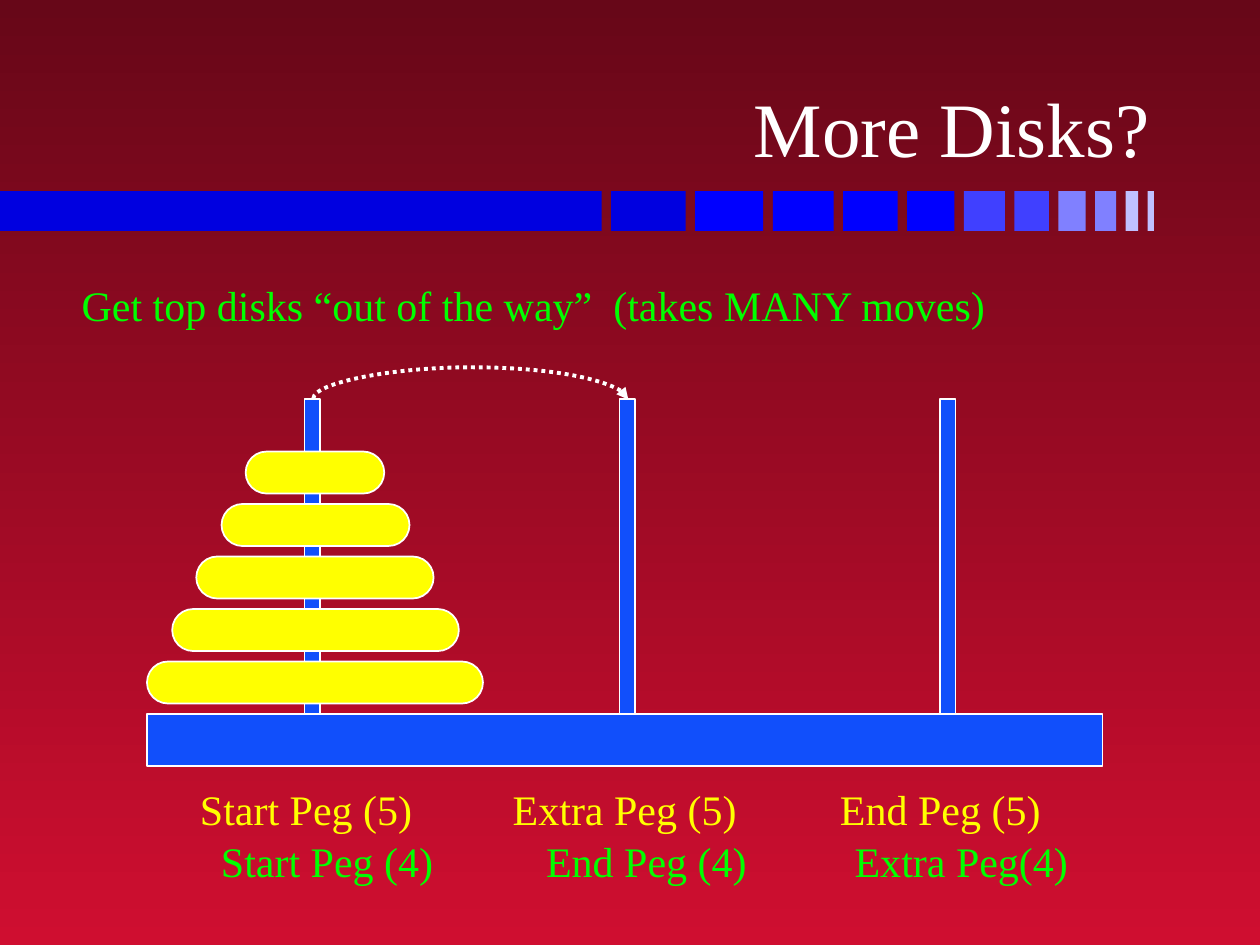
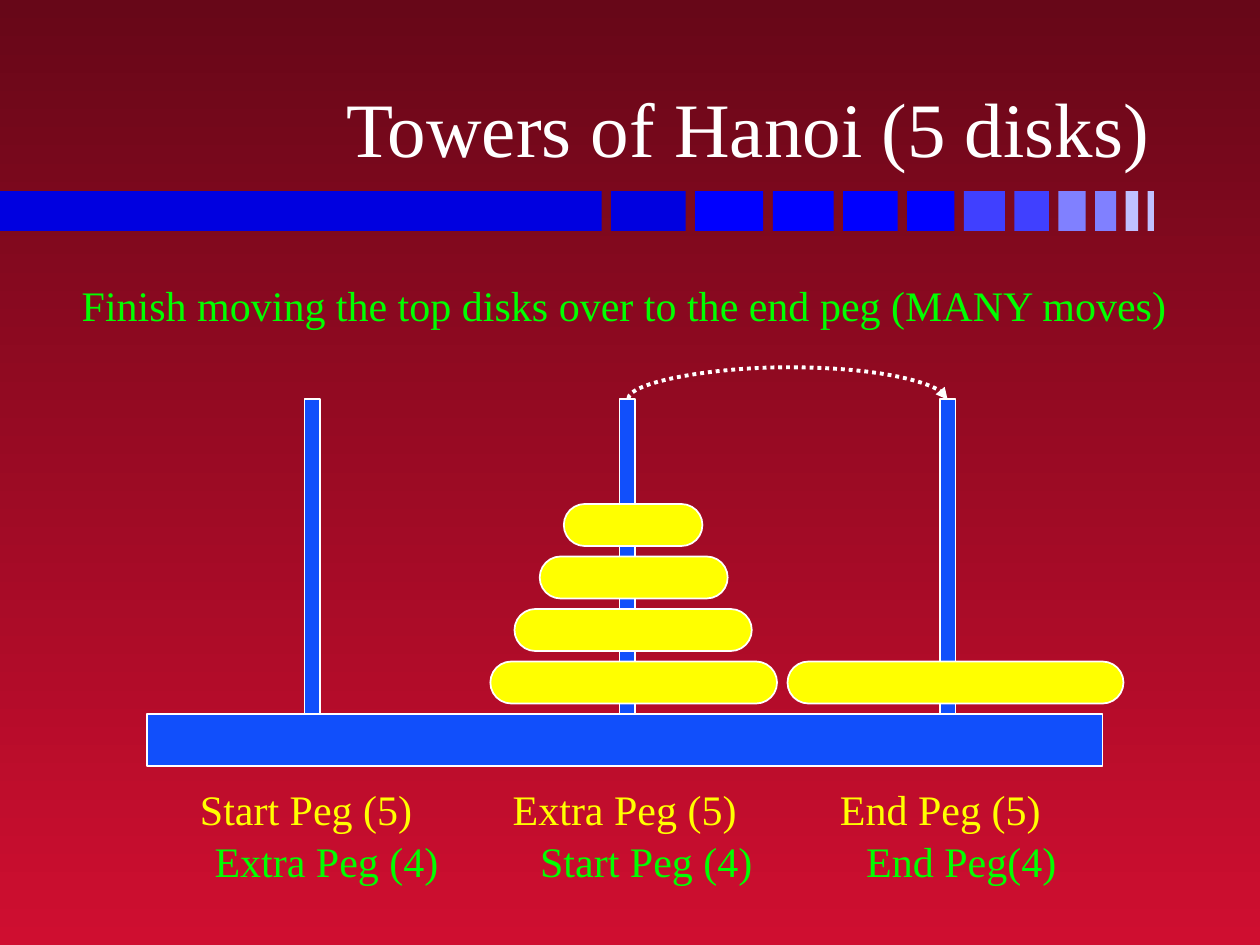
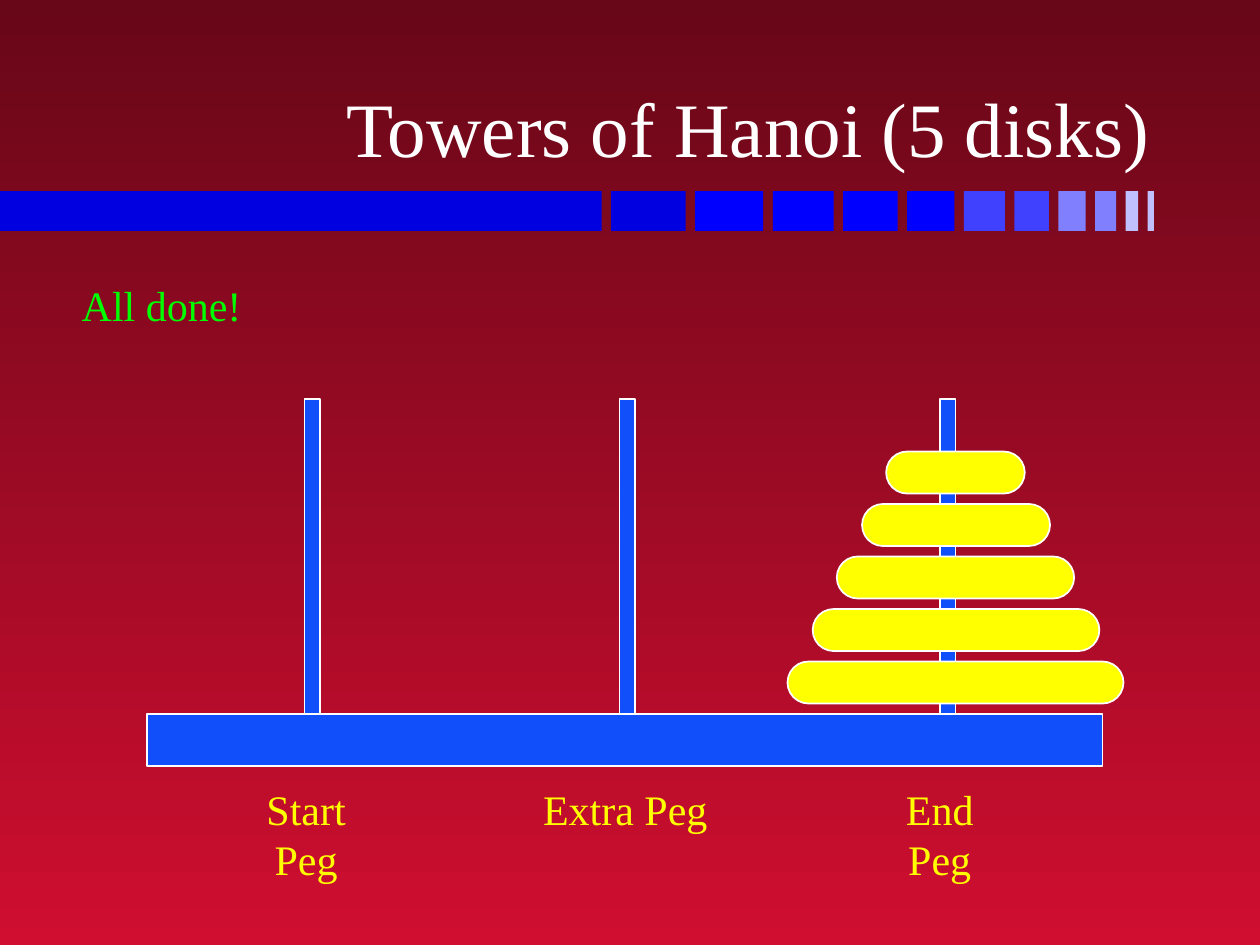
from dataclasses import dataclass
from typing import NamedTuple

from lxml import etree
from pptx import Presentation
from pptx import util as u
from pptx.dml.color import RGBColor
from pptx.enum import dml, shapes, text
from pptx.oxml.ns import qn

PX_PER_INCH = 120


@dataclass(frozen=True)
class Theme:
    font: str = "Times New Roman"
    title_size: int = 44
    body_size: int = 24
    backdrop_top: str = "670718"
    backdrop_bottom: str = "CF0E30"
    white: str = "FFFFFF"
    wood: str = "114FFB"
    disk: str = "FFFF00"
    outer_puzzle: str = "FFFF00"
    inner_puzzle: str = "00FF00"
    outline: float = 1
    arrow: float = 2.25


class BandBlock(NamedTuple):
    width: int
    color: str


class Peg(NamedTuple):
    pole: int
    stack: int
    label: int


class Label(NamedTuple):
    words: str
    width: int


class Scene(NamedTuple):
    title: str
    caption: Label
    stacks: dict[str, list[int]]
    outer_labels: list[Label]
    inner_labels: list[Label]
    move: tuple[str, str] | None


THEME = Theme()
BAND_TOP, BAND_HEIGHT, BAND_GAP = 182, 38, 9
BAND = [
    BandBlock(573, "0000E0"), BandBlock(71, "0000E0"),
    BandBlock(65, "0000FF"), BandBlock(58, "0000FF"),
    BandBlock(52, "0000FF"), BandBlock(45, "0000FF"),
    BandBlock(39, "4040FF"), BandBlock(33, "4040FF"),
    BandBlock(26, "8080FF"), BandBlock(20, "8080FF"),
    BandBlock(12, "C0C0FF"), BandBlock(6, "C0C0FF"),
]
PEGS = {
    "start": Peg(298, 300, 291),
    "extra": Peg(598, 603, 595),
    "end": Peg(903, 910, 895),
}
POLE_TOP, POLE_WIDTH, BASE_TOP = 380, 15, 680
DISK_HEIGHT, DISK_PITCH = 40, 50
SMALLEST_DISK, DISK_GROWTH = 132, 47
ARC_RISE = 30
OUTER_TOP, INNER_TOP, INNER_SHIFT = 740, 790, 20

FIVE_DISK_LABELS = [
    Label("Start Peg (5)", 227), Label("Extra Peg (5)", 238), Label("End Peg (5)", 215),
]
SCENES = [
    Scene(
        "More Disks?",
        Label("Get top disks “out of the way”  (takes MANY moves)", 893),
        {"start": [5, 4, 3, 2, 1]},
        FIVE_DISK_LABELS,
        [Label("Start Peg (4)", 227), Label("End Peg (4)", 215), Label("Extra Peg(4)", 227)],
        ("start", "extra"),
    ),
    Scene(
        "Towers of Hanoi (5 disks)",
        Label("Finish moving the top disks over to the end peg (MANY moves)", 1067),
        {"end": [5], "extra": [4, 3, 2, 1]},
        FIVE_DISK_LABELS,
        [Label("Extra Peg (4)", 238), Label("Start Peg (4)", 227), Label("End Peg(4)", 205)],
        ("extra", "end"),
    ),
    Scene(
        "Towers of Hanoi (5 disks)",
        Label("All done!", 176),
        {"end": [5, 4, 3, 2, 1]},
        [Label("Start Peg", 169), Label("Extra Peg", 181), Label("End Peg", 158)],
        [],
        None,
    ),
]


def px(length: int) -> u.Emu:
    return u.Emu(length * u.Inches(1) // PX_PER_INCH)


def rgb(color: str) -> RGBColor:
    return RGBColor.from_string(color)


def write(slide, words: str, left: int, top: int, width: int, height: int, *,
          color: str, size: int = THEME.body_size, align=text.PP_ALIGN.LEFT,
          anchor=text.MSO_ANCHOR.TOP, wrap: bool = False) -> None:
    frame = slide.shapes.add_textbox(px(left), px(top), px(width), px(height)).text_frame
    frame.word_wrap = wrap
    frame.auto_size = text.MSO_AUTO_SIZE.NONE if wrap else text.MSO_AUTO_SIZE.SHAPE_TO_FIT_TEXT
    frame.vertical_anchor = anchor
    paragraph = frame.paragraphs[0]
    paragraph.alignment = align
    run = paragraph.add_run()
    run.text = words
    run.font.name = THEME.font
    run.font.size = u.Pt(size)
    run.font.color.rgb = rgb(color)


def draw_block(slide, left: int, top: int, width: int, height: int, color: str, *,
               outlined: bool = True, rounded: bool = False) -> None:
    kind = shapes.MSO_SHAPE.ROUNDED_RECTANGLE if rounded else shapes.MSO_SHAPE.RECTANGLE
    block = slide.shapes.add_shape(kind, px(left), px(top), px(width), px(height))
    block.shadow.inherit = False
    block.fill.solid()
    block.fill.fore_color.rgb = rgb(color)
    if rounded:
        block.adjustments[0] = 0.5
    if outlined:
        block.line.color.rgb = rgb(THEME.white)
        block.line.width = u.Pt(THEME.outline)
    else:
        block.line.fill.background()


def draw_band(slide) -> None:
    left = 0
    for block in BAND:
        draw_block(slide, left, BAND_TOP, block.width, BAND_HEIGHT, block.color, outlined=False)
        left += block.width + BAND_GAP


def draw_board(slide) -> None:
    draw_block(slide, 140, BASE_TOP, 910, 50, THEME.wood)
    for peg in PEGS.values():
        draw_block(slide, peg.pole - 8, POLE_TOP, POLE_WIDTH, BASE_TOP - POLE_TOP, THEME.wood)


def draw_stack(slide, peg: Peg, disks: list[int]) -> None:
    for level, disk in enumerate(disks, start=1):
        width = SMALLEST_DISK + DISK_GROWTH * (disk - 1)
        draw_block(slide, peg.stack - width // 2, BASE_TOP - DISK_PITCH * level,
                   width, DISK_HEIGHT, THEME.disk, rounded=True)


def draw_labels(slide, labels: list[Label], top: int, shift: int, color: str) -> None:
    for peg, label in zip(PEGS.values(), labels):
        write(slide, label.words, peg.label + shift - label.width // 2, top, label.width, 60,
              color=color, align=text.PP_ALIGN.CENTER)


def draw_move(slide, source: Peg, target: Peg) -> None:
    middle = (source.pole + target.pole) // 2
    half = (target.pole - source.pole) // 2
    arc = slide.shapes.add_connector(
        shapes.MSO_CONNECTOR.CURVE,
        px(middle), px(POLE_TOP + half), px(middle + 1), px(POLE_TOP - half))
    arc.line.color.rgb = rgb(THEME.white)
    arc.line.width = u.Pt(THEME.arrow)
    arc.line.dash_style = dml.MSO_LINE.ROUND_DOT
    properties = arc.element.spPr
    properties.find(qn("a:xfrm")).set("rot", "5400000")
    adjustments = properties.find(qn("a:prstGeom")).find(qn("a:avLst"))
    etree.SubElement(adjustments, qn("a:gd"), name="adj1", fmla=f"val {-ARC_RISE * 100000}")
    etree.SubElement(properties.find(qn("a:ln")), qn("a:tailEnd"), type="triangle")
    etree.SubElement(properties, qn("a:effectLst"))


def paint_backdrop(master) -> None:
    fill = master.background.fill
    fill.gradient()
    fill.gradient_angle = 270
    colors = (THEME.backdrop_top, THEME.backdrop_bottom)
    for stop, position, color in zip(fill.gradient_stops, (0, 1), colors):
        stop.position = position
        stop.color.rgb = rgb(color)


def draw_scene(slide, scene: Scene) -> None:
    draw_band(slide)
    write(slide, scene.title, 89, 23, 1018, 148, color=THEME.white, size=THEME.title_size,
          align=text.PP_ALIGN.RIGHT, anchor=text.MSO_ANCHOR.BOTTOM, wrap=True)
    draw_board(slide)
    for name, disks in scene.stacks.items():
        draw_stack(slide, PEGS[name], disks)
    draw_labels(slide, scene.outer_labels, OUTER_TOP, 0, THEME.outer_puzzle)
    if scene.move:
        source, target = scene.move
        draw_move(slide, PEGS[source], PEGS[target])
    write(slide, scene.caption.words, 66, 260, scene.caption.width, 60, color=THEME.inner_puzzle)
    draw_labels(slide, scene.inner_labels, INNER_TOP, INNER_SHIFT, THEME.inner_puzzle)


def main() -> None:
    deck = Presentation()
    deck.slide_width, deck.slide_height = px(1200), px(900)
    paint_backdrop(deck.slide_master)
    blank = deck.slide_layouts[6]
    for scene in SCENES:
        draw_scene(deck.slides.add_slide(blank), scene)
    deck.save("out.pptx")


if __name__ == "__main__":
    main()
